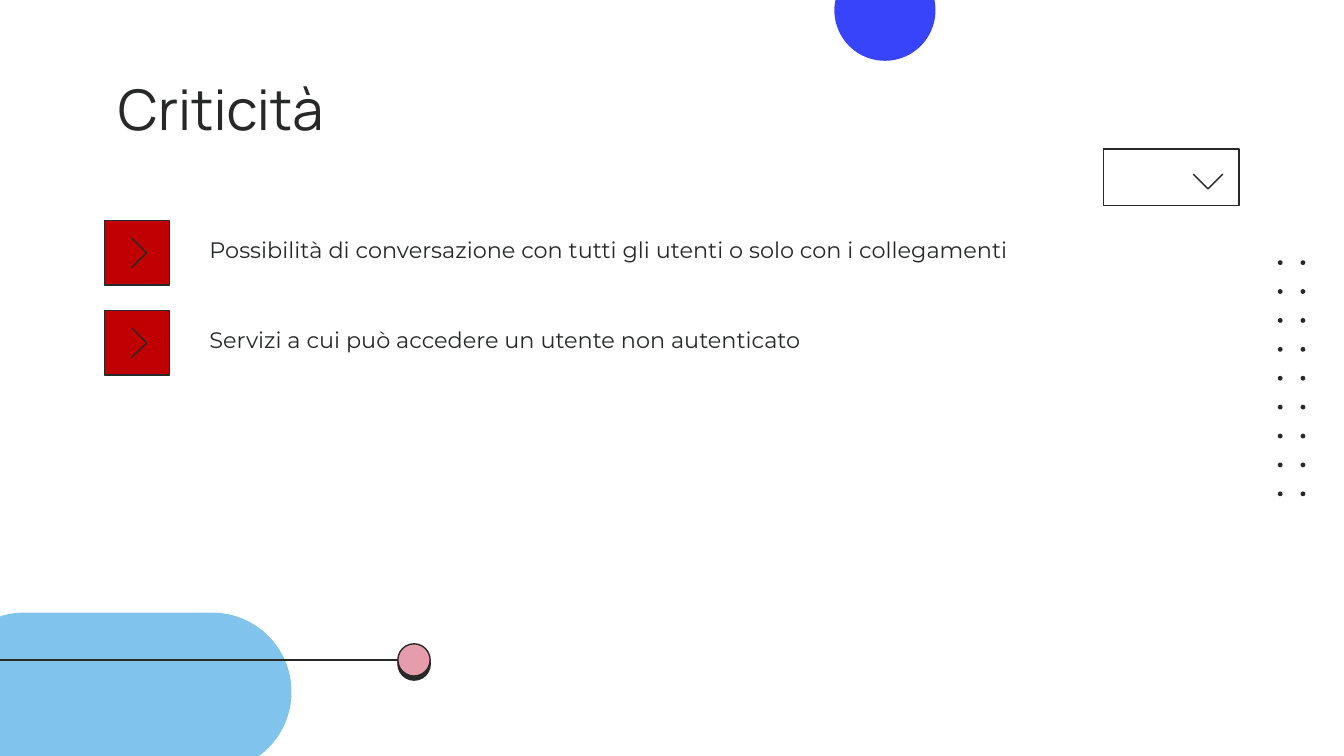
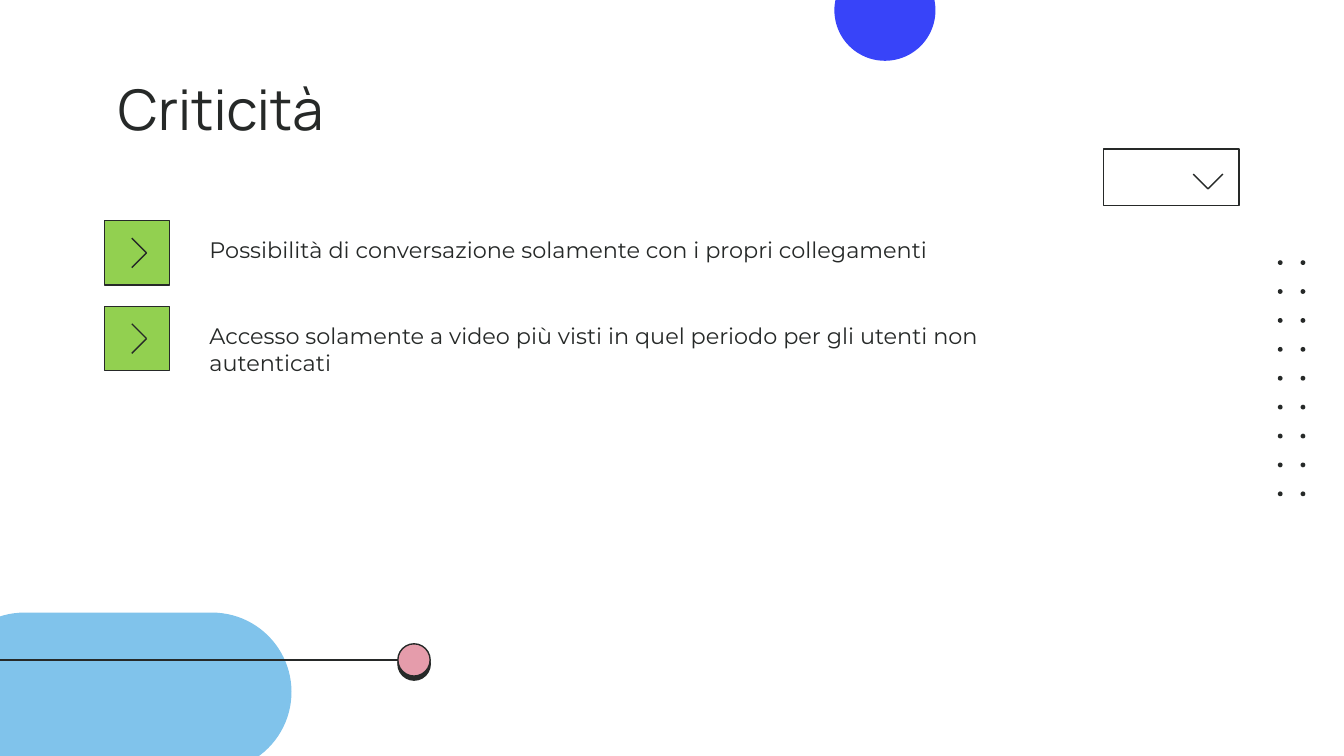
from lxml.etree import SubElement
from pptx import Presentation
from pptx.dml.color import RGBColor
from pptx.enum.shapes import MSO_CONNECTOR, MSO_SHAPE
from pptx.enum.text import MSO_ANCHOR, MSO_AUTO_SIZE, PP_ALIGN
from pptx.oxml.ns import qn
from pptx.util import Cm, Pt

INK, BLUE, SKY, PINK = "262928", "3844F9", "80C3EB", "E59CAB"
RED, GREEN = "C00000", "92D050"
LINE_WIDTH = Pt(0.75)
INSET = Cm(0.25)


def color(hex_value):
    return RGBColor.from_string(hex_value)


def draw(shapes, preset, box, fill=None, line=None):
    shape = shapes.add_shape(preset, *(Cm(length) for length in box))
    shape.shadow.inherit = False
    if fill:
        shape.fill.solid()
        shape.fill.fore_color.rgb = color(fill)
    else:
        shape.fill.background()
    if line:
        shape.line.color.rgb = color(line)
        shape.line.width = LINE_WIDTH
    else:
        shape.line.fill.background()
    return shape


def draw_line(shapes, start, end):
    stroke = shapes.add_connector(
        MSO_CONNECTOR.STRAIGHT, *(Cm(length) for length in (*start, *end)))
    stroke.line.color.rgb = color(INK)
    stroke.line.width = LINE_WIDTH
    SubElement(stroke._element.spPr, qn("a:effectLst"))


def draw_chevron(shapes, tail, tip, other_tail):
    draw_line(shapes, tail, tip)
    draw_line(shapes, other_tail, tip)


def write(frame, text, font, size, anchor):
    frame.text = text
    frame.word_wrap = True
    frame.auto_size = MSO_AUTO_SIZE.NONE
    frame.vertical_anchor = anchor
    frame.margin_left = frame.margin_right = INSET
    frame.margin_top = frame.margin_bottom = INSET
    paragraph = frame.paragraphs[0]
    paragraph.alignment = PP_ALIGN.LEFT
    for run in paragraph.runs:
        run.font.name = font
        run.font.size = Pt(size)
        run.font.color.rgb = color(INK)


def draw_dots(shapes, left, top, width, height, columns=2, rows=9, dot=0.09):
    column_step = (width - dot) / (columns - 1)
    row_step = (height - dot) / (rows - 1)
    for column in range(columns):
        for row in range(rows):
            box = (left + column * column_step, top + row * row_step, dot, dot)
            draw(shapes, MSO_SHAPE.OVAL, box, INK)


def decorate_layout(layout, slide):
    for placeholder in list(layout.placeholders):
        if placeholder.placeholder_format.idx:
            placeholder.element.getparent().remove(placeholder.element)
    backdrop = slide.shapes.add_group_shape()
    pill = draw(backdrop.shapes, MSO_SHAPE.ROUNDED_RECTANGLE,
                (-1.04, 11.58, 6.55, 3), SKY)
    pill.adjustments[0] = 0.5
    draw(backdrop.shapes, MSO_SHAPE.OVAL, (15.77, -0.76, 1.91, 1.91), BLUE)
    draw_dots(backdrop.shapes, 24.15, 4.92, 0.52, 4.46)
    layout.shapes.element.insert(2, backdrop.element)


def place_title(slide, text, left, top, width, height):
    title = slide.shapes.title
    title.left, title.top = Cm(left), Cm(top)
    title.width, title.height = Cm(width), Cm(height)
    write(title.text_frame, text, "Manrope", 30, MSO_ANCHOR.MIDDLE)


def draw_slider(slide, left, top, size):
    slider = slide.shapes.add_group_shape().shapes
    knob = draw(slider, MSO_SHAPE.OVAL, (left, top, size, size), PINK, INK)
    effects = knob._element.spPr.find(qn("a:effectLst"))
    shadow = SubElement(effects, qn("a:outerShdw"), dist=str(Pt(2.2)),
                        dir=str(88 * 60000), algn="bl", rotWithShape="0")
    SubElement(shadow, qn("a:srgbClr"), val=INK)
    middle = top + size / 2
    draw_line(slider, (left, middle), (0, middle))


def draw_dropdown(slide, left, top, width, height):
    dropdown = slide.shapes.add_group_shape().shapes
    draw(dropdown, MSO_SHAPE.RECTANGLE, (left, top, width, height), line=INK)
    tip_x, tip_y = left + width - 0.59, top + 0.75
    draw_chevron(dropdown, (tip_x - 0.28, tip_y - 0.28), (tip_x, tip_y),
                 (tip_x + 0.28, tip_y - 0.28))


def draw_issue(slide, text, fill, left, top, size=1.22):
    marker = slide.shapes.add_group_shape().shapes
    draw(marker, MSO_SHAPE.RECTANGLE, (left, top, size, size), fill, INK)
    tip_x, tip_y = left + 0.79, top + size / 2
    draw_chevron(marker, (tip_x - 0.28, tip_y - 0.28), (tip_x, tip_y),
                 (tip_x - 0.28, tip_y + 0.28))
    caption = slide.shapes.add_textbox(
        Cm(left + 1.73), Cm(top + 0.05), Cm(16.33), Cm(1.37))
    write(caption.text_frame, text, "Montserrat", 12, MSO_ANCHOR.TOP)


def build_issues_slide(slide, issues, fill, pitch):
    place_title(slide, "Criticità", 1.98, 1.24, 14.33, 1.6)
    draw_slider(slide, 7.52, 12.17, 0.61)
    draw_dropdown(slide, 20.85, 2.82, 2.57, 1.07)
    for row, issue in enumerate(issues):
        draw_issue(slide, issue, fill, 1.98, 4.17 + row * pitch)


ISSUES = [
    "Possibilità di conversazione con tutti gli utenti o solo con i collegamenti",
    "Servizi a cui può accedere un utente non autenticato",
]
SOLUTIONS = [
    "Possibilità di conversazione solamente con i propri collegamenti",
    "Accesso solamente a video più visti in quel periodo per gli utenti non autenticati",
]


def main():
    deck = Presentation()
    deck.slide_width, deck.slide_height = Cm(25.4), Cm(14.29)
    layout = deck.slide_layouts[5]
    issues_slide = deck.slides.add_slide(layout)
    decorate_layout(layout, issues_slide)
    build_issues_slide(issues_slide, ISSUES, RED, 1.7)
    build_issues_slide(deck.slides.add_slide(layout), SOLUTIONS, GREEN, 1.62)
    deck.save("out.pptx")


if __name__ == "__main__":
    main()
